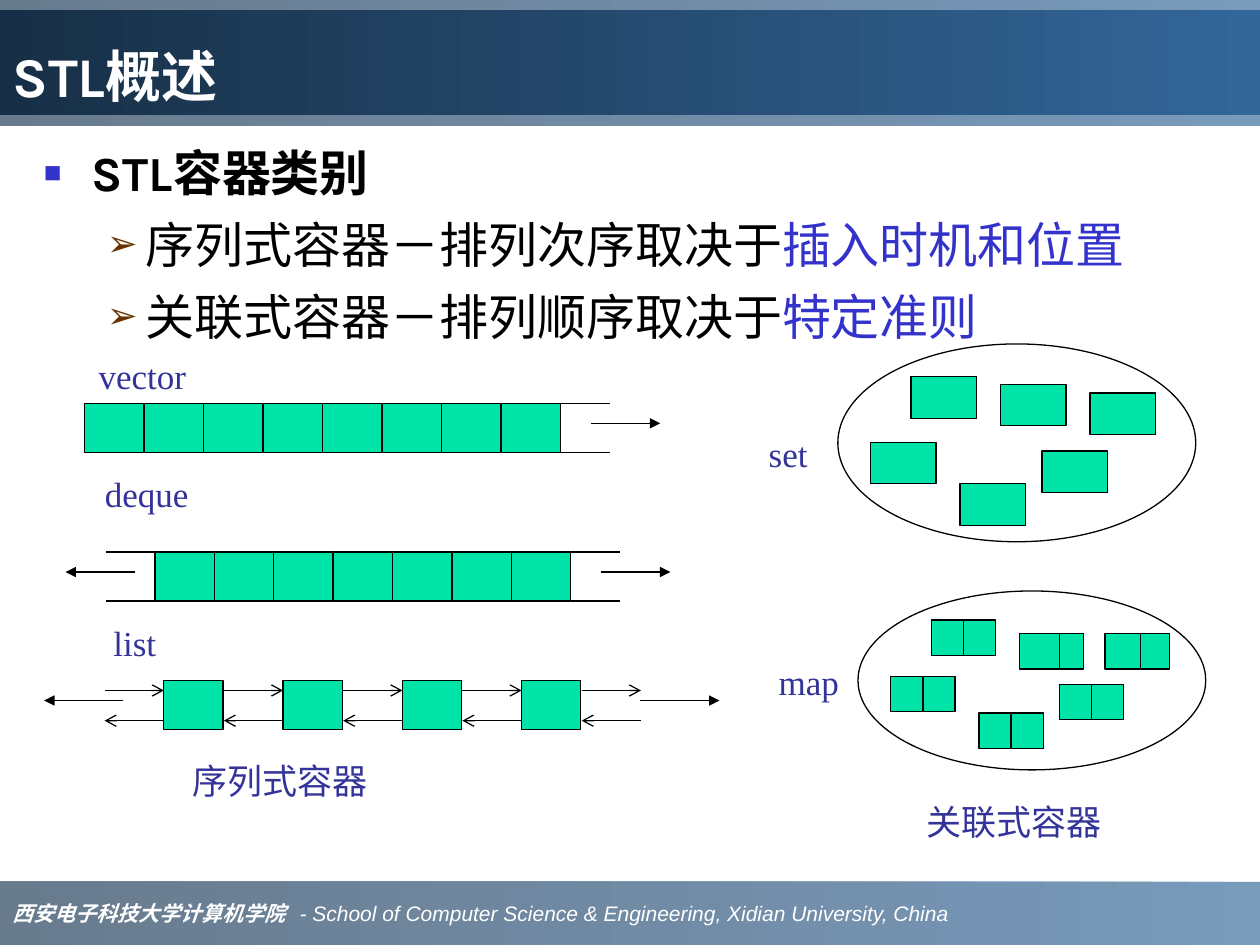
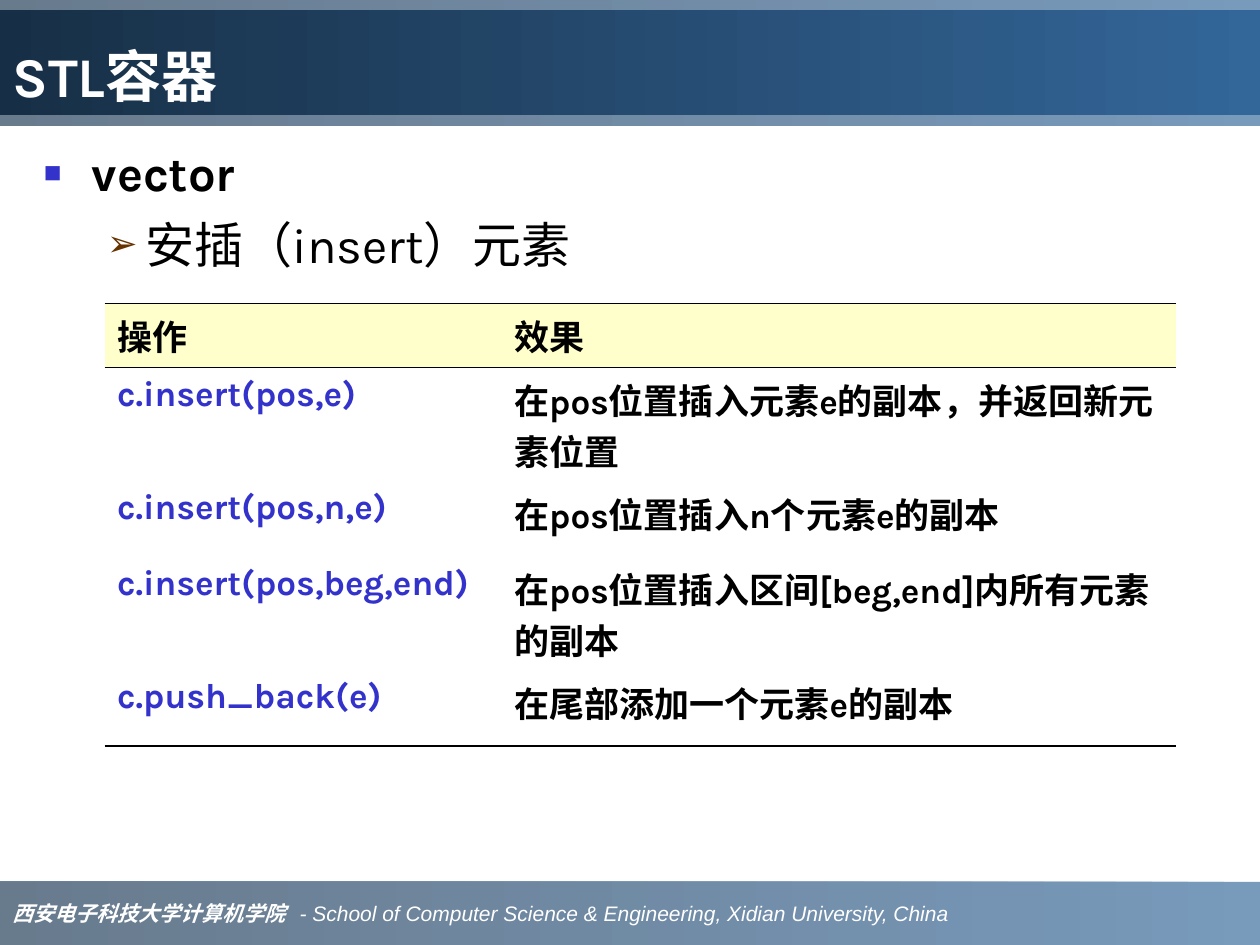
from pptx import Presentation
from pptx.dml.color import RGBColor
from pptx.enum.shapes import MSO_CONNECTOR, MSO_SHAPE
from pptx.enum.text import MSO_ANCHOR, PP_ALIGN
from pptx.oxml.ns import qn
from pptx.oxml.xmlchemy import OxmlElement
from pptx.util import Inches, Pt

STRAIGHT = MSO_CONNECTOR.STRAIGHT
RECTANGLE, ELLIPSE = MSO_SHAPE.RECTANGLE, MSO_SHAPE.OVAL
BOTTOM, MIDDLE = MSO_ANCHOR.BOTTOM, MSO_ANCHOR.MIDDLE
LEFT, CENTER = PP_ALIGN.LEFT, PP_ALIGN.CENTER

COLORS = {
    "white": "FFFFFF", "black": "000000", "cell": "00E4A8", "label": "333399",
    "accent": "3333CC", "arrow_bullet": "663300", "header": "FFFFCC",
    "band_light": "336699", "band_dark": "1B3753", "title_dark": "172F46",
}
CELL_HEIGHT = 0.39
NODE_WIDTH = 0.47


def rgb(name):
    return RGBColor.from_string(COLORS[name])


def add_xml(parent, tag, **attributes):
    element = OxmlElement(tag)
    for name, value in attributes.items():
        element.set(name, str(value))
    parent.append(element)
    return element


def write(paragraph, text, size=20, font="Karla", color="black", bold=False, italic=False):
    """Add a formatted run to the paragraph."""
    run = paragraph.add_run()
    run.text = text
    run.font.size = Pt(size)
    run.font.name = font
    run.font.bold = bold
    run.font.italic = italic
    run.font.color.rgb = rgb(color)


def add_box(slide, kind, left, top, width, height, fill="cell"):
    shape = slide.shapes.add_shape(
        kind, Inches(left), Inches(top), Inches(width), Inches(height))
    shape.shadow.inherit = False
    shape.fill.solid()
    shape.fill.fore_color.rgb = rgb(fill)
    shape.line.color.rgb = rgb("black")
    shape.line.width = Pt(0.75)
    return shape


def add_line(slide, start, end, head=None):
    connector = slide.shapes.add_connector(
        STRAIGHT, *(Inches(value) for value in (*start, *end)))
    connector.line.color.rgb = rgb("black")
    connector.line.width = Pt(0.75)
    if head:
        add_xml(connector.line._get_or_add_ln(), "a:tailEnd", type=head)
    add_xml(connector.element.spPr, "a:effectLst")
    return connector


def add_label(slide, text, left, top, width):
    label = slide.shapes.add_textbox(Inches(left), Inches(top), Inches(width), Inches(0.33))
    frame = label.text_frame
    frame.word_wrap = False
    frame.margin_left = frame.margin_right = frame.margin_top = frame.margin_bottom = 0
    frame.paragraphs[0].alignment = CENTER
    write(frame.paragraphs[0], text, font="Times New Roman", color="label")


def add_band(slide, top, height, dark, opacity=None):
    """Add a full-width bar that runs from dark on the left to light on the right."""
    band = add_box(slide, RECTANGLE, 0, top, 10, height)
    band.line.fill.background()
    band.fill.gradient()
    band.fill.gradient_angle = 180
    for stop, color in zip(band.fill.gradient_stops, ("band_light", dark)):
        stop.color.rgb = rgb(color)
    if opacity:
        for color in band.element.spPr.iter(qn("a:srgbClr")):
            add_xml(color, "a:alpha", val=opacity * 1000)
    return band


def band_paragraph(band, anchor):
    band.text_frame.word_wrap = True
    band.text_frame.vertical_anchor = anchor
    paragraph = band.text_frame.paragraphs[0]
    paragraph.alignment = LEFT
    return paragraph


def add_frame(presentation, title):
    """Add a slide with the shared footer, header band and title."""
    slide = presentation.slides.add_slide(presentation.slide_layouts[6])
    footer = band_paragraph(add_band(slide, 7, 0.5, "band_dark", 66), MIDDLE)
    tabs = add_xml(footer._p.get_or_add_pPr(), "a:tabLst")
    add_xml(tabs, "a:tab", pos=Inches(2.28), algn="l")
    write(footer, "西安电子科技大学计算机学院\t", 12, "Times New Roman", "white", True, True)
    write(footer, "- School of Computer Science & Engineering, Xidian University, China",
          12, "Arial", "white", italic=True)
    add_band(slide, 0, 1, "band_dark", 66)
    heading = band_paragraph(add_band(slide, 0.08, 0.83, "title_dark"), BOTTOM)
    write(heading, title, 32, color="white", bold=True)
    return slide


def set_bullet(paragraph, character, color, percent, margin, indent):
    properties = paragraph._p.get_or_add_pPr()
    properties.set("marL", str(Inches(margin)))
    properties.set("indent", str(Inches(indent)))
    bullet_color = add_xml(properties, "a:buClr")
    add_xml(bullet_color, "a:srgbClr", val=COLORS[color])
    add_xml(properties, "a:buSzPct", val=percent * 1000)
    add_xml(properties, "a:buFont", typeface="Arial")
    add_xml(properties, "a:buChar", char=character)


def add_outline(slide, heading, points, left=0.25, top=1.08, width=9.42, height=5.83):
    """Add a heading and its points, each a plain part and a highlighted part."""
    body = slide.shapes.add_textbox(Inches(left), Inches(top), Inches(width), Inches(height))
    frame = body.text_frame
    frame.word_wrap = True
    first = frame.paragraphs[0]
    set_bullet(first, "■", "accent", 60, 0.38, -0.38)
    write(first, heading, 28, bold=True)
    for plain, highlight in points:
        paragraph = frame.add_paragraph()
        paragraph.level = 1
        paragraph.space_before = Pt(7)
        set_bullet(paragraph, "➢", "arrow_bullet", 75, 0.81, -0.31)
        write(paragraph, plain, 28)
        if highlight:
            write(paragraph, highlight, 28, color="accent")
    for paragraph in frame.paragraphs:
        paragraph.line_spacing = Pt(34)


def add_cells(slide, left, top, width, count):
    for index in range(count):
        add_box(slide, RECTANGLE, left + index * width / count, top,
                width / count, CELL_HEIGHT)


def add_open_end(slide, edge, top, direction, arrow_gap):
    """Show that a row can grow: two short rails and an arrow, direction 1 or -1."""
    for y in (top, top + CELL_HEIGHT):
        add_line(slide, (edge, y), (edge + direction * 0.39, y))
    start = edge + direction * arrow_gap
    add_line(slide, (start, top + 0.16), (start + direction * 0.55, top + 0.16), "triangle")


def add_vector(slide, left, top):
    add_label(slide, "vector", left + 0.11, top - 0.39, 0.7)
    add_cells(slide, left, top, 3.78, 8)
    add_open_end(slide, left + 3.78, top, 1, 0.24)


def add_deque(slide, left, top):
    add_label(slide, "deque", left - 0.4, top - 0.63, 0.67)
    add_cells(slide, left, top, 3.3, 7)
    add_open_end(slide, left + 3.3, top, 1, 0.24)
    add_open_end(slide, left, top, -1, 0.16)


def add_list(slide, left, top, count=4):
    pitch = 2.84 / 3
    add_label(slide, "list", left - 0.4, top - 0.47, 0.34)
    for index in range(count):
        add_box(slide, RECTANGLE, left + index * pitch, top, NODE_WIDTH, CELL_HEIGHT)
    for index in range(count + 1):
        start = left - NODE_WIDTH + index * pitch
        end = start + NODE_WIDTH
        add_line(slide, (start, top + 0.08), (end, top + 0.08), "arrow")
        add_line(slide, (end, top + 0.32), (start, top + 0.32), "arrow")
    for start, direction in ((left + 3.78, 1), (left - 0.32, -1)):
        add_line(slide, (start, top + 0.16), (start + direction * 0.63, top + 0.16), "triangle")


def add_set(slide, left, top):
    add_label(slide, "set", left - 0.55, top + 0.7, 0.31)
    add_box(slide, ELLIPSE, left, top, 2.84, 1.57, "white")
    for x, y in ((0.58, 0.26), (1.29, 0.32), (0.26, 0.78),
                 (0.97, 1.11), (1.62, 0.85), (2, 0.39)):
        add_box(slide, RECTANGLE, left + x, top + y, 0.52, 0.33)


def add_map(slide, left, top):
    """Add an ellipse of key and value pairs; a pair without a split is halved."""
    width, height = 0.51, 0.28
    add_label(slide, "map", left - 0.63, top + 0.55, 0.48)
    add_box(slide, ELLIPSE, left, top, 2.76, 1.42, "white")
    for x, y, split in ((0.58, 0.23, None), (1.28, 0.34, 0.32), (0.26, 0.68, None),
                        (0.96, 0.97, None), (1.6, 0.74, None), (1.96, 0.34, 0.28)):
        pair = add_box(slide, RECTANGLE, left + x, top + y, width, height)
        middle = left + x + (split or width / 2)
        divider = add_line(slide, (middle, top + y), (middle, top + y + height))
        if split is None:
            divider.begin_connect(pair, 0)
            divider.end_connect(pair, 2)


def set_borders(cell, top, bottom):
    """Draw the top and bottom edges in points, None for no edge."""
    properties = cell._tc.get_or_add_tcPr()
    for tag, width in (("a:lnL", None), ("a:lnR", None), ("a:lnT", top), ("a:lnB", bottom)):
        edge = add_xml(properties, tag, w=Pt(width or 0))
        if width:
            add_xml(add_xml(edge, "a:solidFill"), "a:srgbClr", val=COLORS["black"])
        else:
            add_xml(edge, "a:noFill")


def add_operations(slide, rows, left, top):
    widths, heights = (3.15, 5.35), (0.51, 0.9, 0.6, 0.9, 0.6)
    table = slide.shapes.add_table(
        len(rows), len(widths), Inches(left), Inches(top),
        Inches(sum(widths)), Inches(sum(heights))).table
    table.horz_banding = table.first_row = False
    for column, width in zip(table.columns, widths):
        column.width = Inches(width)
    edges = [1.08, 0.75] + [None] * (len(rows) - 2) + [1.08]
    for row_index, texts in enumerate(rows):
        table.rows[row_index].height = Inches(heights[row_index])
        for column_index, text in enumerate(texts):
            cell = table.cell(row_index, column_index)
            set_borders(cell, edges[row_index], edges[row_index + 1])
            if row_index == 0:
                cell.fill.solid()
                cell.fill.fore_color.rgb = rgb("header")
            else:
                cell.fill.background()
            is_code = row_index > 0 and column_index == 0
            write(cell.text_frame.paragraphs[0], text, bold=True,
                  color="accent" if is_code else "black")


def build_overview(presentation):
    slide = add_frame(presentation, "STL概述")
    add_outline(slide, "STL容器类别", (
        ("序列式容器－排列次序取决于", "插入时机和位置"),
        ("关联式容器－排列顺序取决于", "特定准则"),
    ))
    add_vector(slide, 0.67, 3.2)
    add_deque(slide, 1.23, 4.38)
    add_list(slide, 1.3, 5.4)
    add_label(slide, "序列式容器", 1.42, 6.03, 1.6)
    add_map(slide, 6.81, 4.69)
    add_set(slide, 6.65, 2.73)
    add_label(slide, "关联式容器", 7.25, 6.35, 1.6)


def build_insertion(presentation):
    slide = add_frame(presentation, "STL容器")
    add_outline(slide, "vector", (("安插（insert）元素", ""),))
    add_operations(slide, (
        ("操作", "效果"),
        ("c.insert(pos,e)", "在pos位置插入元素e的副本，并返回新元素位置"),
        ("c.insert(pos,n,e)", "在pos位置插入n个元素e的副本"),
        ("c.insert(pos,beg,end)", "在pos位置插入区间[beg,end]内所有元素的副本"),
        ("c.push_back(e)", "在尾部添加一个元素e的副本"),
    ), 0.83, 2.41)


def main():
    presentation = Presentation()
    presentation.slide_width = Inches(10)
    presentation.slide_height = Inches(7.5)
    build_overview(presentation)
    build_insertion(presentation)
    presentation.save("out.pptx")


if __name__ == "__main__":
    main()
